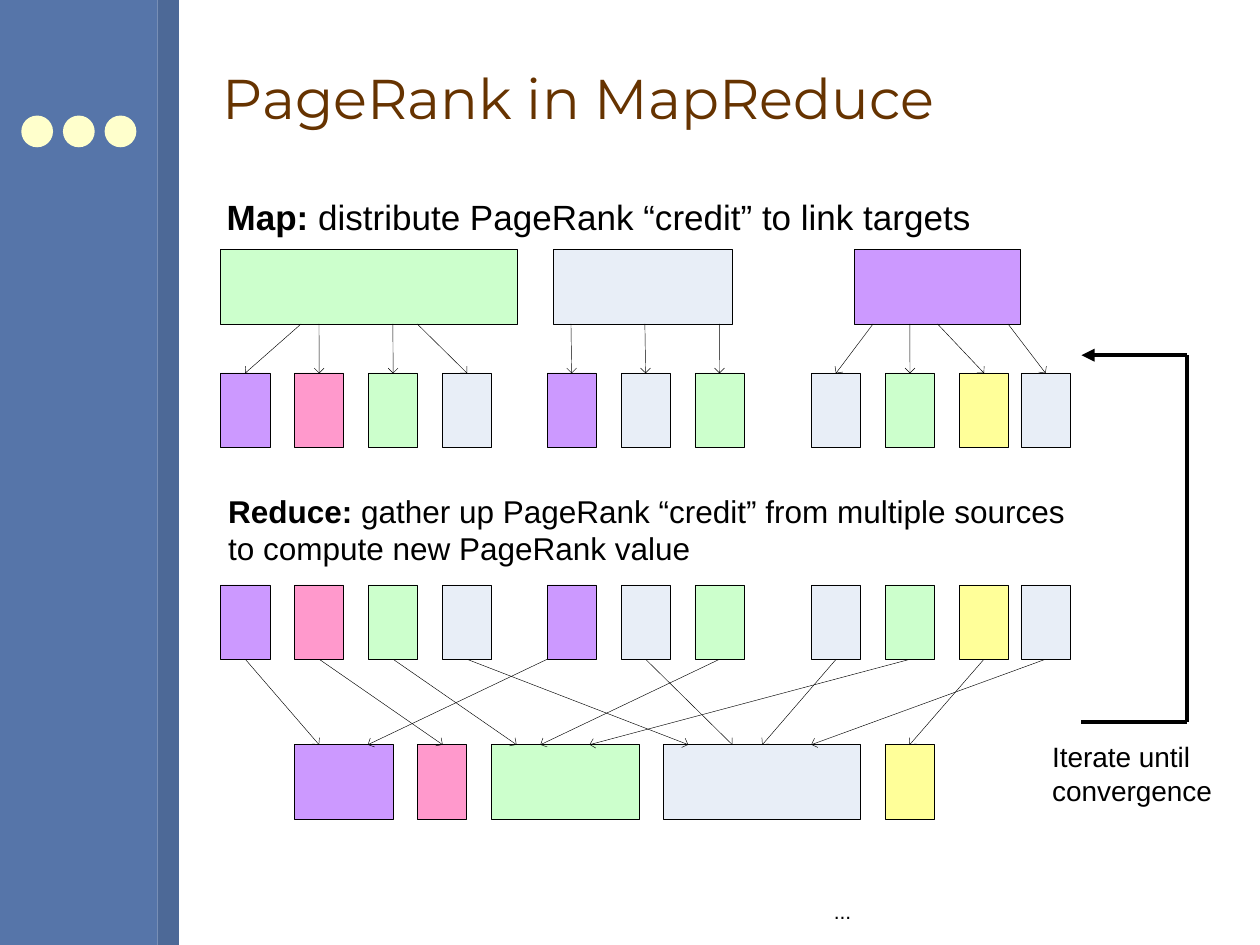
from dataclasses import dataclass
from math import atan2, cos, pi, sin

from lxml.etree import SubElement
from pptx import Presentation
from pptx.dml.color import RGBColor as Rgb
from pptx.enum.shapes import MSO_CONNECTOR as Link, MSO_SHAPE as Shape
from pptx.enum.text import MSO_ANCHOR as Anchor
from pptx.oxml.ns import qn
from pptx.util import Cm, Pt


@dataclass(frozen=True)
class Theme:
    bar: str = "5675A9"
    strip: str = "4D6997"
    dot: str = "FFFFCC"
    title: str = "663300"
    ink: str = "000000"
    purple: str = "CC99FF"
    pink: str = "FF99CC"
    green: str = "CCFFCC"
    pale: str = "E8EEF7"
    yellow: str = "FFFF99"
    title_font: str = "Montserrat"
    body_font: str = "Arial"
    title_size: int = 32
    map_size: int = 20
    reduce_size: int = 18
    loop_size: int = 16
    small_size: int = 12
    thin: float = 0.25
    thick: float = 2.5


THEME = Theme()
CELL, GAP, TALL = 0.99, 0.5, 1.5
SOURCE_TOP, MAPPED_TOP, GATHER_TOP, RESULT_TOP = 5.03, 7.52, 11.79, 15.01

SIDEBAR = [
    (Shape.RECTANGLE, (0, 0, 3.18, 19.05), THEME.bar),
    (Shape.RECTANGLE, (3.18, 0, 0.43, 19.05), THEME.strip),
    *[(Shape.OVAL, (0.43 + 0.84 * step, 2.33, 0.64, 0.64), THEME.dot) for step in range(3)],
]

SOURCES = [(4.45, 5.97, THEME.green), (11.15, 3.61, THEME.pale), (17.22, 3.35, THEME.purple)]
CREDIT_GROUPS = [
    (4.45, [THEME.purple, THEME.pink, THEME.green, THEME.pale]),
    (11.03, [THEME.purple, THEME.pale, THEME.green]),
    (16.36, [THEME.pale, THEME.green, THEME.yellow]),
    (20.58, [THEME.pale]),
]
RESULTS_LEFT = 5.94
RESULTS = [(2, THEME.purple), (1, THEME.pink), (3, THEME.green), (4, THEME.pale), (1, THEME.yellow)]

MAP_STARTS = [6.07, 6.43, 7.92, 8.41, 11.51, 13.0, 14.5, 17.6, 18.34, 18.9, 20.32]
REDUCE_ENDS = [6.43, 8.92, 10.41, 13.87, 7.42, 14.76, 10.9, 15.37, 11.89, 18.34, 16.36]
CORNER_START = 4
LOOP = [(21.8, 14.55), (23.93, 14.55), (23.93, 7.16), (21.8, 7.16)]

TEXTS = [
    dict(at=(4.24, 0.53, 20.32, 2.87), lines=[[("PageRank in MapReduce", False)]],
         size=THEME.title_size, font=THEME.title_font, color=THEME.title,
         inset=(0.25, 0.13), anchor=Anchor.MIDDLE, wrap=True),
    dict(at=(4.57, 3.94, 15.01, 0.84), size=THEME.map_size,
         lines=[[("Map:", True), (" distribute PageRank “credit” to link targets", False)]]),
    dict(at=(4.6, 9.91, 17.42, 1.52), size=THEME.reduce_size, wrap=True,
         lines=[[("Reduce:", True), (" gather up PageRank “credit” from multiple sources "
                                     "to compute new PageRank value", False)]]),
    dict(at=(20.96, 14.78, 3.73, 1.63), size=THEME.loop_size, inset=(0.25, 0.13),
         lines=[[("Iterate until", False)], [("convergence", False)]]),
    dict(at=(16.81, 18.11, 0.36, 0.51), size=THEME.small_size, lines=[[("...", False)]]),
]


def add_block(page, kind, at, fill, outlined=True):
    block = page.shapes.add_shape(kind, *map(Cm, at))
    block.shadow.inherit = False
    block.fill.solid()
    block.fill.fore_color.rgb = Rgb.from_string(fill)
    if outlined:
        set_line(block, THEME.thin)
    else:
        block.line.fill.background()


def set_line(shape, width):
    shape.line.color.rgb = Rgb.from_string(THEME.ink)
    shape.line.width = Pt(width)


def add_line(page, start, end, width, triangle=False):
    line = page.shapes.add_connector(Link.STRAIGHT, *map(Cm, (*start, *end)))
    set_line(line, width)
    properties = line._element.spPr
    if triangle:
        SubElement(properties.find(qn("a:ln")), qn("a:tailEnd"), type="triangle")
    SubElement(properties, qn("a:effectLst"))


def add_arrow(page, start, end, barb=0.14):
    add_line(page, start, end, THEME.thin)
    back = atan2(start[1] - end[1], start[0] - end[0])
    left, right = [(end[0] + barb * cos(back + turn), end[1] + barb * sin(back + turn))
                   for turn in (-pi / 4, pi / 4)]
    points = [tuple(map(Cm, point)) for point in (left, end, right)]
    builder = page.shapes.build_freeform(*points[0])
    builder.add_line_segments(points[1:], close=False)
    head = builder.convert_to_shape()
    head.shadow.inherit = False
    head.fill.background()
    set_line(head, THEME.thin)


def add_text(page, at, lines, size, font=THEME.body_font, color=THEME.ink,
             inset=(0, 0), anchor=Anchor.TOP, wrap=False):
    frame = page.shapes.add_textbox(*map(Cm, at)).text_frame
    frame.word_wrap = wrap
    frame.vertical_anchor = anchor
    frame.margin_left = frame.margin_right = Cm(inset[0])
    frame.margin_top = frame.margin_bottom = Cm(inset[1])
    for index, spans in enumerate(lines):
        para = frame.add_paragraph() if index else frame.paragraphs[0]
        for text, bold in spans:
            span = para.add_run()
            span.text = text
            span.font.name = font
            span.font.size = Pt(size)
            span.font.bold = bold
            span.font.color.rgb = Rgb.from_string(color)


def main():
    """Build the slide showing PageRank as map and reduce steps."""
    deck = Presentation()
    deck.slide_width, deck.slide_height = Cm(25.4), Cm(19.05)
    page = deck.slides.add_slide(deck.slide_layouts[6])

    for kind, at, fill in SIDEBAR:
        add_block(page, kind, at, fill, outlined=False)

    credits = [(left + index * (CELL + GAP), fill)
               for left, fills in CREDIT_GROUPS for index, fill in enumerate(fills)]
    blocks = [(left, SOURCE_TOP, width, fill) for left, width, fill in SOURCES]
    blocks += [(left, top, CELL, fill) for top in (MAPPED_TOP, GATHER_TOP) for left, fill in credits]
    left = RESULTS_LEFT
    for cells, fill in RESULTS:
        blocks.append((left, RESULT_TOP, cells * CELL, fill))
        left += cells * CELL + GAP
    for left, top, width, fill in blocks:
        add_block(page, Shape.RECTANGLE, (left, top, width, TALL), fill)

    for index, (left, fill) in enumerate(credits):
        middle = left + CELL / 2
        gather_start = left if index == CORNER_START else middle
        add_arrow(page, (MAP_STARTS[index], SOURCE_TOP + TALL), (middle, MAPPED_TOP))
        add_arrow(page, (gather_start, GATHER_TOP + TALL), (REDUCE_ENDS[index], RESULT_TOP))

    for start, end in zip(LOOP, LOOP[1:]):
        add_line(page, start, end, THEME.thick, triangle=end == LOOP[-1])
    for text in TEXTS:
        add_text(page, **text)
    deck.save("out.pptx")


if __name__ == "__main__":
    main()
